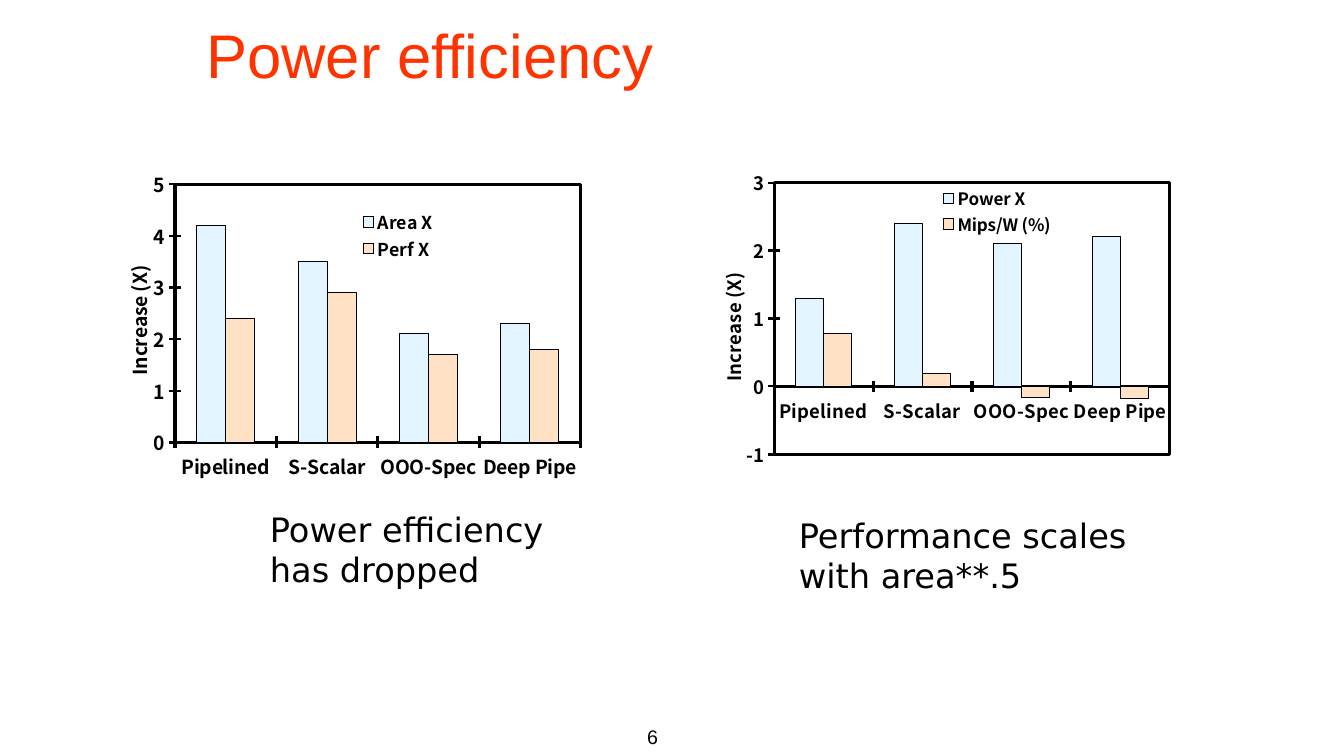
import pptx
import pptx.chart.data
import pptx.dml.color
import pptx.enum.chart
import pptx.enum.text
import pptx.oxml
import pptx.oxml.ns
import pptx.util

PX = 914400 / 100.8
BLACK = "000000"
CATEGORIES = ["Pipelined", "S-Scalar", "OOO-Spec", "Deep Pipe"]
SERIES_FILLS = ["E1F4FF", "FFE2C5"]


def px(n):
    return pptx.util.Emu(round(n * PX))


def rgb(value):
    return pptx.dml.color.RGBColor.from_string(value)


def set_attrs(obj, values):
    for name, value in values.items():
        setattr(obj, name, value)


def set_font(font, name, size, color=BLACK, bold=False):
    set_attrs(font, {"name": name, "size": pptx.util.Pt(size), "bold": bold})
    font.color.rgb = rgb(color)


def set_line(line, width):
    line.color.rgb = rgb(BLACK)
    line.width = pptx.util.Pt(width)


def place(element, index, **fractions):
    old = element.find(pptx.oxml.ns.qn("c:layout"))
    if old is not None:
        element.remove(old)
    target = '<c:layoutTarget val="inner"/>' if element.tag.endswith("plotArea") else ""
    modes = '<c:xMode val="edge"/><c:yMode val="edge"/>'
    values = "".join(f'<c:{k} val="{v}"/>' for k, v in fractions.items())
    element.insert(index, pptx.oxml.parse_xml(
        f'<c:layout {pptx.oxml.ns.nsdecls("c")}><c:manualLayout>'
        f'{target}{modes}{values}</c:manualLayout></c:layout>'))


class SlideBuilder:
    text_font = "DejaVu Sans"
    heading_font = "Arial"
    chart_font = "Noto Sans CJK SC"

    def __init__(self, prs):
        self.slide = prs.slides.add_slide(prs.slide_layouts[5])

    def fill_text(self, tf, text, align, anchor, font):
        set_attrs(tf, {"word_wrap": True, "vertical_anchor": anchor,
                       "auto_size": pptx.enum.text.MSO_AUTO_SIZE.NONE})
        p = tf.paragraphs[0]
        p.alignment = align
        r = p.add_run()
        r.text = text
        set_font(r.font, *font)

    def title(self, text, x, y, w, h):
        sp = self.slide.shapes.title
        set_attrs(sp, {"left": px(x), "top": px(y), "width": px(w), "height": px(h)})
        sp.fill.solid()
        sp.fill.fore_color.rgb = rgb("FFFFFF")
        self.fill_text(sp.text_frame, text, pptx.enum.text.PP_ALIGN.LEFT,
                       pptx.enum.text.MSO_ANCHOR.MIDDLE, (self.heading_font, 44, "FF3300"))

    def text(self, text, x, y, w, h, font, align=pptx.enum.text.PP_ALIGN.LEFT):
        sp = self.slide.shapes.add_textbox(px(x), px(y), px(w), px(h))
        self.fill_text(sp.text_frame, text, align, pptx.enum.text.MSO_ANCHOR.TOP, font)

    def caption(self, text, x, y, w, h):
        self.text(text, x, y, w, h, (self.text_font, 24))

    def number(self, text, x, y, w, h):
        self.text(text, x, y, w, h, (self.heading_font, 14), pptx.enum.text.PP_ALIGN.RIGHT)

    def chart(self, box, series, scale, size, legend_size, lines, plot, legend, title):
        data = pptx.chart.data.CategoryChartData()
        data.categories = CATEGORIES
        for name, values in series.items():
            data.add_series(name, values)
        chart = self.slide.shapes.add_chart(
            pptx.enum.chart.XL_CHART_TYPE.COLUMN_CLUSTERED, *map(px, box), data).chart
        set_attrs(chart, {"has_title": False, "has_legend": True})
        set_font(chart.font, self.chart_font, size, bold=True)
        frame_width, axis_width, bar_width = lines

        bars = chart.plots[0]
        set_attrs(bars, {"gap_width": 150, "overlap": 0, "vary_by_categories": False})
        for s, fill in zip(bars.series, SERIES_FILLS):
            s.invert_if_negative = False
            s.format.fill.solid()
            s.format.fill.fore_color.rgb = rgb(fill)
            set_line(s.format.line, bar_width)

        cross = pptx.enum.chart.XL_TICK_MARK.CROSS
        for axis, width in ((chart.category_axis, frame_width), (chart.value_axis, axis_width)):
            set_attrs(axis, {"major_tick_mark": cross, "has_major_gridlines": False,
                             "minor_tick_mark": pptx.enum.chart.XL_TICK_MARK.NONE})
            set_line(axis.format.line, width)
            set_font(axis.tick_labels.font, self.chart_font, size, bold=True)
        axis = chart.value_axis
        set_attrs(axis, {"minimum_scale": scale[0], "maximum_scale": scale[1], "major_unit": 1})
        tf = axis.axis_title.text_frame
        r = tf.paragraphs[0].add_run()
        r.text = "Increase (X)"
        set_font(r.font, self.chart_font, size, bold=True)
        title_xml = axis._element.find(pptx.oxml.ns.qn("c:title"))
        title_xml.find(".//" + pptx.oxml.ns.qn("a:bodyPr")).set("rot", "-5400000")
        place(title_xml, 1, **title)

        set_attrs(chart.legend, {"position": pptx.enum.chart.XL_LEGEND_POSITION.RIGHT,
                                 "include_in_layout": False})
        set_font(chart.legend.font, self.chart_font, legend_size, bold=True)
        place(chart.legend._element, 1, **legend)

        area = chart._chartSpace.find(".//" + pptx.oxml.ns.qn("c:plotArea"))
        place(area, 0, **plot)
        area.append(pptx.oxml.parse_xml(
            f'<c:spPr {pptx.oxml.ns.nsdecls("c", "a")}><a:noFill/>'
            f'<a:ln w="{pptx.util.Pt(frame_width)}"><a:solidFill>'
            f'<a:srgbClr val="{BLACK}"/></a:solidFill></a:ln></c:spPr>'))


def main():
    prs = pptx.Presentation()
    prs.slide_width, prs.slide_height = px(1344), px(756)
    s = SlideBuilder(prs)
    s.number("6", 388, 720, 280, 50)
    s.title("Power efficiency", 196, 0, 1112, 108)
    s.chart((99, 157, 507, 340),
            {"Area X": (4.2, 3.5, 2.1, 2.3), "Perf X": (2.4, 2.9, 1.7, 1.8)},
            (0, 5), 13.8, 12.7, (2.31, 1.54, 0.77),
            plot=dict(x=0.15, y=0.08, w=0.8, h=0.76),
            legend=dict(x=0.51, y=0.15, w=0.16, h=0.16),
            title=dict(x=0.04, y=0.31))
    s.chart((694, 157, 501, 320),
            {"Power X": (1.3, 2.4, 2.1, 2.2), "Mips/W (%)": (0.78, 0.19, -0.16, -0.17)},
            (-1, 3), 13.2, 12.2, (2.21, 1.47, 0.75),
            plot=dict(x=0.16, y=0.08, w=0.79, h=0.85),
            legend=dict(x=0.49, y=0.09, w=0.23, h=0.16),
            title=dict(x=0.04, y=0.35))
    s.caption("Performance scales with area**.5", 789, 510, 353, 92)
    s.caption("Power efficiency has dropped", 260, 504, 361, 92)
    prs.save("out.pptx")


if __name__ == "__main__":
    main()
